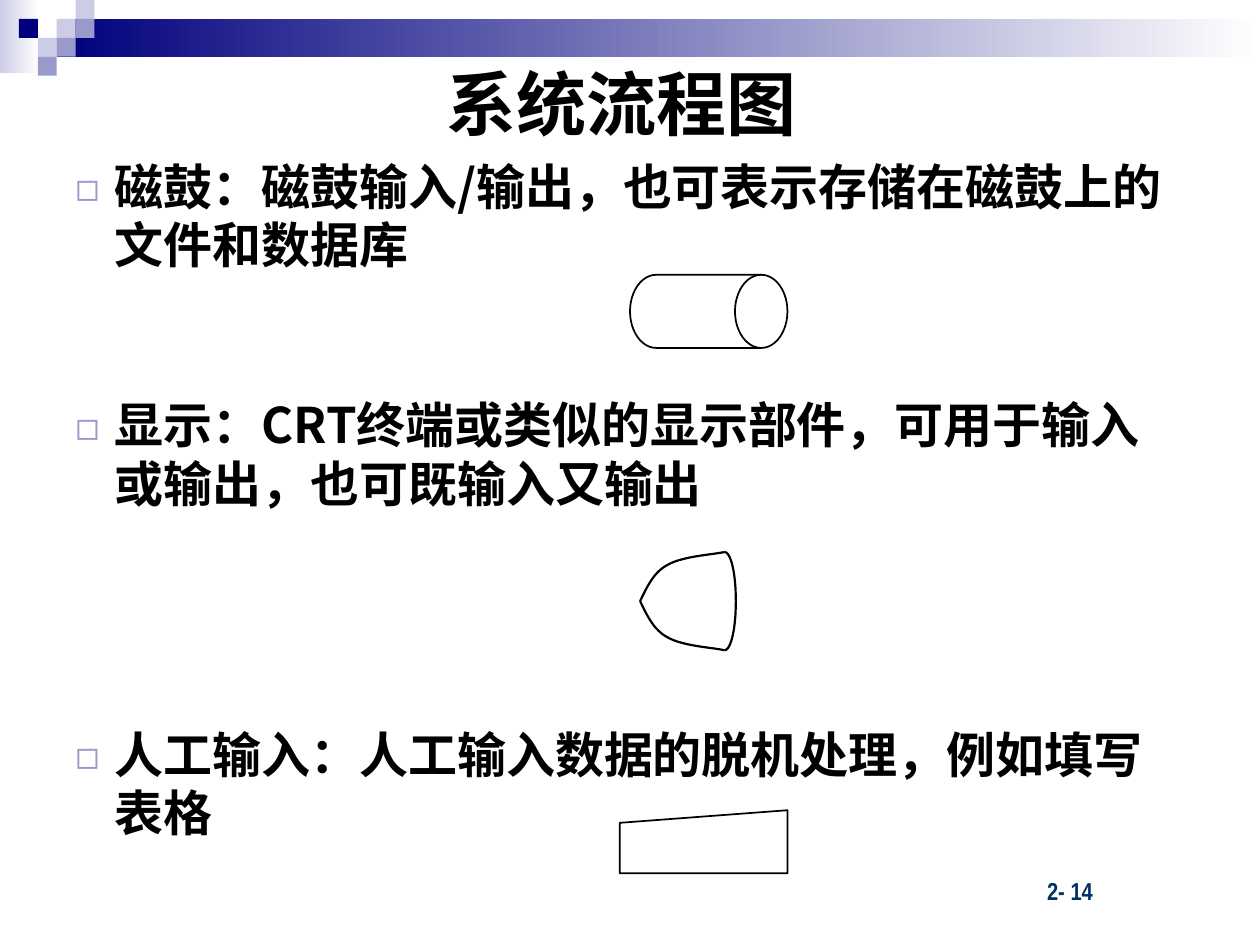
import pptx
import pptx.dml.color
import pptx.enum.shapes
import pptx.enum.text
import pptx.oxml
import pptx.util
from pptx.oxml.ns import qn

Pt = pptx.util.Pt
RGBColor = pptx.dml.color.RGBColor
Shape = pptx.enum.shapes.MSO_SHAPE
Align = pptx.enum.text.PP_ALIGN
Anchor = pptx.enum.text.MSO_ANCHOR

BLACK = RGBColor(0x00, 0x00, 0x00)
WHITE = RGBColor(0xFF, 0xFF, 0xFF)
NAVY = RGBColor(0x00, 0x00, 0x7D)
LAVENDER = RGBColor(0x99, 0x99, 0xCC)
PALE = RGBColor(0xCC, 0xCC, 0xE6)
FOOTER_BLUE = RGBColor(0x00, 0x31, 0x62)
CJK_FONT = "Noto Sans CJK SC"

CELL = 10.8
SQUARES = [  # column, row, colour
    (3, 1, PALE), (4, 0, PALE), (4, 1, LAVENDER), (2, 2, PALE),
    (1, 1, NAVY), (3, 2, LAVENDER), (2, 3, LAVENDER),
]
SYMBOL_NOTES = [  # text, space before
    ("磁鼓：磁鼓输入/输出，也可表示存储在磁鼓上的文件和数据库", 0),
    ("显示：CRT终端或类似的显示部件，可用于输入或输出，也可既输入又输出", 69.5),
    ("人工输入：人工输入数据的脱机处理，例如填写表格", 121.5),
]
# Upper half of the display symbol: x in box widths, y in half heights
DISPLAY_CURVES = [
    [(0, 1), (0.07, 0.72), (0.14, 0.41), (0.29, 0.26)],
    [(0.29, 0.26), (0.45, 0.08), (0.79, 0.05), (0.88, 0)],
    [(0.88, 0), (0.95, 0), (1, 0.44), (1, 1)],
]


def add_bullet(paragraph, character, color, percent):
    properties = paragraph._p.get_or_add_pPr()
    namespace = 'xmlns:a="http://schemas.openxmlformats.org/drawingml/2006/main"'
    for xml in (
        f'<a:buClr {namespace}><a:srgbClr val="{color}"/></a:buClr>',
        f'<a:buSzPct {namespace} val="{percent * 1000}"/>',
        f'<a:buFont {namespace} typeface="{CJK_FONT}"/>',
        f'<a:buChar {namespace} char="{character}"/>',
    ):
        properties.append(pptx.oxml.parse_xml(xml))


def write_text(paragraph, text, size, font=CJK_FONT, color=BLACK, align=Align.LEFT,
               indent=0, hanging=0, space_before=0, line_height=None, bullet=None):
    paragraph.alignment = align
    paragraph.space_before = Pt(space_before)
    if line_height:
        paragraph.line_spacing = Pt(line_height)
    properties = paragraph._p.get_or_add_pPr()
    properties.set("marL", str(Pt(indent)))
    properties.set("indent", str(-Pt(hanging)))
    if bullet:
        add_bullet(paragraph, bullet, LAVENDER, 80)
    run = paragraph.add_run()
    run.text = text
    run.font.size = Pt(size)
    run.font.bold = True
    run.font.name = font
    run.font.color.rgb = color
    east_asian = run._r.get_or_add_rPr().makeelement(qn("a:ea"), {"typeface": font})
    run.font._element.find(qn("a:latin")).addnext(east_asian)


def add_text_frame(slide, left, top, width, height, anchor=Anchor.TOP):
    frame = slide.shapes.add_textbox(Pt(left), Pt(top), Pt(width), Pt(height)).text_frame
    frame.word_wrap = True
    frame.vertical_anchor = anchor
    return frame


def add_banner_block(shapes, left, top, width, height, color, fade=False):
    block = shapes.add_shape(Shape.RECTANGLE, Pt(left), Pt(top), Pt(width), Pt(height))
    block.shadow.inherit = False
    block.line.fill.background()
    if fade:
        block.fill.gradient()
        block.fill.gradient_angle = 0
        for stop, stop_color in zip(block.fill.gradient_stops, (color, WHITE)):
            stop.color.rgb = stop_color
    else:
        block.fill.solid()
        block.fill.fore_color.rgb = color


def add_banner(slide, left, top, width):
    shapes = slide.shapes.add_group_shape().shapes
    add_banner_block(shapes, left, top, 22.3, 41.8, PALE, fade=True)
    add_banner_block(shapes, left + 3 * CELL, top + CELL, width - 3 * CELL, 21.6, NAVY, fade=True)
    for column, row, color in SQUARES:
        add_banner_block(shapes, left + column * CELL, top + row * CELL, CELL, CELL, color)


def add_title(slide, left, top, width, height):
    frame = add_text_frame(slide, left, top, width, height, Anchor.MIDDLE)
    write_text(frame.paragraphs[0], "系统流程图", 40, align=Align.CENTER)


def add_symbol_notes(slide, left, top, width, height):
    frame = add_text_frame(slide, left, top, width, height)
    for index, (text, space_before) in enumerate(SYMBOL_NOTES):
        paragraph = frame.add_paragraph() if index else frame.paragraphs[0]
        write_text(paragraph, text, 28, indent=58.5, hanging=22.5,
                   space_before=space_before, line_height=33.4, bullet="◻")


def add_page_number(slide, left, top, width, height):
    frame = add_text_frame(slide, left, top, width, height)
    write_text(frame.paragraphs[0], "2- 14", 14, font="Arial Narrow",
               color=FOOTER_BLUE, indent=67)


def outline(shape, weight):
    shape.shadow.inherit = False
    shape.fill.background()
    shape.line.color.rgb = BLACK
    shape.line.width = Pt(weight)


def add_flow_symbol(slide, kind, left, top, width, height):
    outline(slide.shapes.add_shape(kind, Pt(left), Pt(top), Pt(width), Pt(height)), 1)


def curve_points(controls, steps=16):
    """Return points along a cubic Bezier curve."""
    points = []
    for step in range(steps + 1):
        t = step / steps
        weights = ((1 - t) ** 3, 3 * t * (1 - t) ** 2, 3 * t * t * (1 - t), t ** 3)
        points.append(tuple(sum(weight * control[axis] for weight, control
                                in zip(weights, controls)) for axis in (0, 1)))
    return points


def add_display_symbol(slide, left, top, width, height):
    shapes = slide.shapes.add_group_shape().shapes
    shell_start, shell_end, screen = map(curve_points, DISPLAY_CURVES)
    middle = top + height / 2
    for side in (-1, 1):
        for points in (shell_start + shell_end[1:], screen):
            places = [(Pt(left + x * width), Pt(middle + side * (1 - y) * height / 2))
                      for x, y in points]
            builder = shapes.build_freeform(*places[0])
            builder.add_line_segments(places[1:], close=False)
            outline(builder.convert_to_shape(), 1.25)


def main():
    presentation = pptx.Presentation()
    presentation.slide_width = Pt(720)
    presentation.slide_height = Pt(540)
    slide = presentation.slides.add_slide(presentation.slide_layouts[6])
    add_banner(slide, 0, 0, 720)
    add_page_number(slide, 524.2, 496.8, 149.8, 23.8)
    add_title(slide, 31, 15.1, 648, 86.4)
    add_symbol_notes(slide, 0, 86, 676.8, 426)
    add_flow_symbol(slide, Shape.FLOWCHART_DIRECT_ACCESS_STORAGE, 360, 157, 90, 41.8)
    add_display_symbol(slide, 365.8, 315.4, 54.7, 56.2)
    add_flow_symbol(slide, Shape.FLOWCHART_MANUAL_INPUT, 354.2, 463, 95.8, 36)
    presentation.save("out.pptx")


if __name__ == "__main__":
    main()
